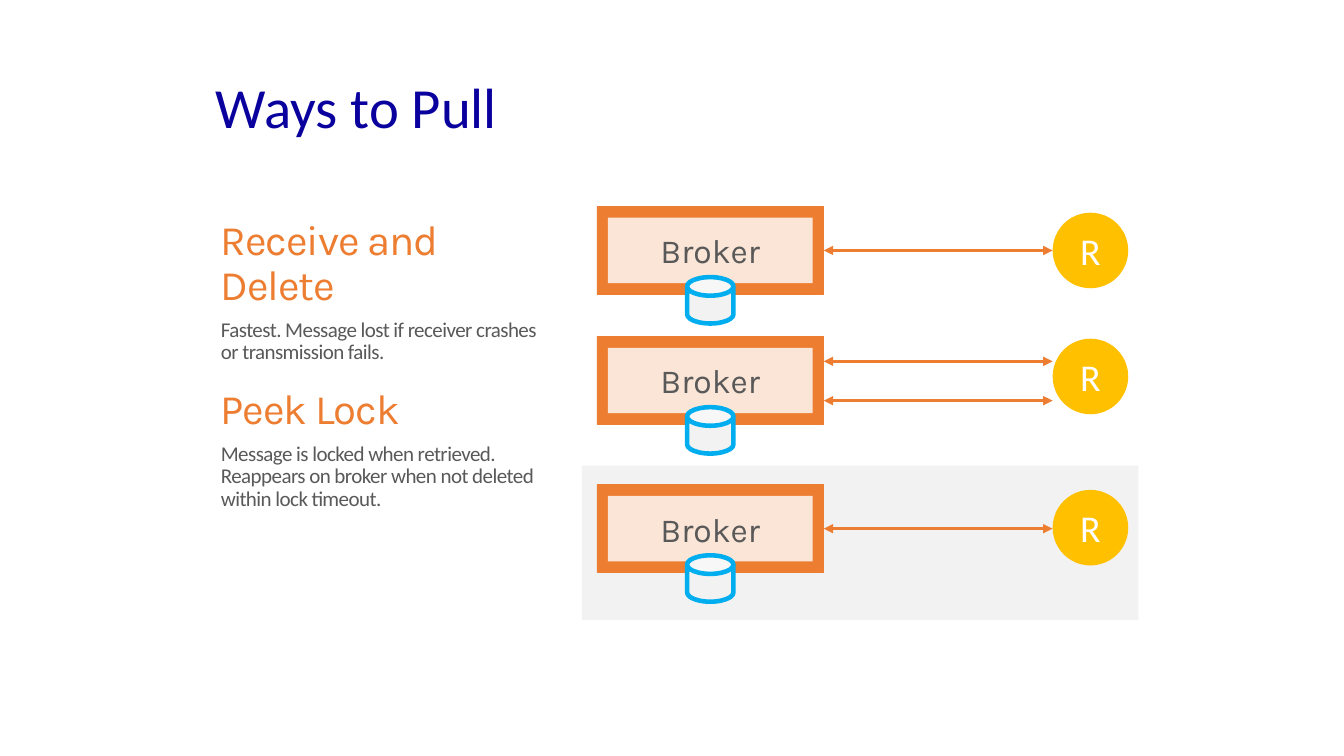
from dataclasses import dataclass

import lxml.etree
import pptx
import pptx.dml.color
import pptx.enum.shapes
import pptx.enum.text
import pptx.oxml.ns
import pptx.util

Inches = pptx.util.Inches
Pt = pptx.util.Pt
qn = pptx.oxml.ns.qn
Shape = pptx.enum.shapes.MSO_SHAPE
Align = pptx.enum.text.PP_ALIGN
Anchor = pptx.enum.text.MSO_ANCHOR


@dataclass(frozen=True)
class Theme:
    navy: str = "09009E"
    orange: str = "ED7D31"
    peach: str = "FBE5D6"
    gold: str = "FFC000"
    blue: str = "00AEEF"
    pale: str = "F2F2F2"
    grey: str = "595959"
    white: str = "FFFFFF"
    text_font: str = "Calibri"
    accent_font: str = "Karla"
    title_size: float = 40.5
    heading_size: float = 30
    detail_size: float = 15
    broker_size: float = 24
    receiver_size: float = 27


@dataclass(frozen=True)
class PullMode:
    heading: str
    detail: str
    gap_before: float


@dataclass(frozen=True)
class Exchange:
    broker_top: float
    receiver_top: float
    arrow_offsets: tuple[float, ...]


THEME = Theme()
BROKER_LEFT, BROKER_WIDTH, BROKER_HEIGHT, BROKER_BORDER = 5.92, 2.25, 0.87, 0.11
RECEIVER_LEFT, RECEIVER_SIZE = 10.44, 0.75
STORE_WIDTH, STORE_HEIGHT, STORE_DROP = 0.46, 0.46, 0.7

PULL_MODES = (
    PullMode("Receive and Delete",
             "Fastest. Message lost if receiver crashes or transmission fails.", 0),
    PullMode("Peek Lock",
             "Message is locked when retrieved. Reappears on broker when not "
             "deleted within lock timeout.", 17),
)
EXCHANGES = (
    Exchange(2.05, 2.11, (0,)),
    Exchange(3.34, 3.36, (-0.19, 0.2)),
    Exchange(4.81, 4.86, (0,)),
)


def rgb(color: str) -> pptx.dml.color.RGBColor:
    return pptx.dml.color.RGBColor.from_string(color)


def set_font(paragraph, name: str, size: float, color: str, tracking: float = 0) -> None:
    """Format a paragraph; tracking is in points."""
    paragraph.font.name = name
    paragraph.font.size = Pt(size)
    paragraph.font.color.rgb = rgb(color)
    if tracking:
        for run in paragraph.runs:
            run._r.get_or_add_rPr().set("spc", str(round(tracking * 100)))


def place(shape, left: float, top: float, width: float, height: float) -> None:
    shape.left, shape.top = Inches(left), Inches(top)
    shape.width, shape.height = Inches(width), Inches(height)


def add_filled(slide, kind, left: float, top: float, width: float, height: float,
               fill: str, line: str | None = None, line_width: float = 0.5):
    shape = slide.shapes.add_shape(
        kind, Inches(left), Inches(top), Inches(width), Inches(height))
    shape.shadow.inherit = False
    shape.fill.solid()
    shape.fill.fore_color.rgb = rgb(fill)
    if line:
        shape.line.color.rgb = rgb(line)
        shape.line.width = Pt(line_width)
    else:
        shape.line.fill.background()
    return shape


def add_label(shape, text: str, font: str, size: float, color: str,
              side_margin: float, end_margin: float) -> None:
    frame = shape.text_frame
    frame.margin_left = frame.margin_right = Inches(side_margin)
    frame.margin_top = frame.margin_bottom = Inches(end_margin)
    frame.vertical_anchor = Anchor.MIDDLE
    label = frame.paragraphs[0]
    label.text = text
    label.alignment = Align.CENTER
    set_font(label, font, size, color)


def add_double_arrow(slide, y: float) -> None:
    arrow = slide.shapes.add_connector(
        pptx.enum.shapes.MSO_CONNECTOR.STRAIGHT,
        Inches(BROKER_LEFT + BROKER_WIDTH), Inches(y), Inches(RECEIVER_LEFT), Inches(y))
    arrow.line.color.rgb = rgb(THEME.orange)
    arrow.line.width = Pt(2.25)
    for end in ("a:headEnd", "a:tailEnd"):
        lxml.etree.SubElement(arrow.line._ln, qn(end), type="triangle")
    lxml.etree.SubElement(arrow._element.spPr, qn("a:effectLst"))


def add_exchange(slide, exchange: Exchange) -> None:
    """Draw one broker with its store, its receiver and the arrows between."""
    top = exchange.broker_top
    receiver = add_filled(slide, Shape.OVAL, RECEIVER_LEFT, exchange.receiver_top,
                          RECEIVER_SIZE, RECEIVER_SIZE, THEME.gold)
    add_label(receiver, "R", THEME.text_font, THEME.receiver_size, THEME.white, 0.07, 0.08)
    for offset in exchange.arrow_offsets:
        add_double_arrow(slide, top + BROKER_HEIGHT / 2 + offset)
    add_filled(slide, Shape.RECTANGLE, BROKER_LEFT, top, BROKER_WIDTH, BROKER_HEIGHT,
               THEME.orange, THEME.orange)
    broker = add_filled(slide, Shape.RECTANGLE,
                        BROKER_LEFT + BROKER_BORDER, top + BROKER_BORDER,
                        BROKER_WIDTH - 2 * BROKER_BORDER,
                        BROKER_HEIGHT - 2 * BROKER_BORDER, THEME.peach)
    add_label(broker, "Broker", THEME.accent_font, THEME.broker_size, THEME.grey, 0, 0.04)
    store = add_filled(slide, Shape.CAN,
                       BROKER_LEFT + (BROKER_WIDTH - STORE_WIDTH) / 2, top + STORE_DROP,
                       STORE_WIDTH, STORE_HEIGHT, THEME.pale, THEME.blue, 3.25)
    store.adjustments[0] = 0.4


def fill_title(title) -> None:
    place(title, 2.04, 0.68, 9.15, 0.82)
    title.text_frame.vertical_anchor = Anchor.MIDDLE
    title.text_frame.auto_size = pptx.enum.text.MSO_AUTO_SIZE.NONE
    heading = title.text_frame.paragraphs[0]
    heading.text = "Ways to Pull"
    heading.alignment = Align.LEFT
    heading.line_spacing = 0.9
    set_font(heading, THEME.text_font, THEME.title_size, THEME.navy)


def add_plain_paragraph(frame, text: str, level: int, before: float, after: float):
    """Add a paragraph without bullet or indent, using the empty first one if free."""
    first = frame.paragraphs[0]
    paragraph = frame.add_paragraph() if first.text else first
    paragraph.text = text
    paragraph.level = level
    paragraph.line_spacing = 0.9
    paragraph.space_before = Pt(before)
    paragraph.space_after = Pt(after)
    properties = paragraph._p.get_or_add_pPr()
    properties.set("marL", "0")
    properties.set("indent", "0")
    lxml.etree.SubElement(properties, qn("a:buNone"))
    return paragraph


def fill_pull_modes(body) -> None:
    place(body, 2.09, 2.12, 3.56, 3.47)
    frame = body.text_frame
    frame.auto_size = pptx.enum.text.MSO_AUTO_SIZE.NONE
    frame.margin_right = Inches(0.2)
    for mode in PULL_MODES:
        heading = add_plain_paragraph(frame, mode.heading, 0, mode.gap_before, 6.8)
        set_font(heading, THEME.accent_font, THEME.heading_size, THEME.orange, -0.8)
        detail = add_plain_paragraph(frame, mode.detail, 1, 0, 0)
        set_font(detail, THEME.text_font, THEME.detail_size, THEME.grey, -0.4)


def main() -> None:
    deck = pptx.Presentation()
    deck.slide_width, deck.slide_height = Inches(13.33), Inches(7.5)
    slide = deck.slides.add_slide(deck.slide_layouts[1])
    fill_title(slide.shapes.title)
    fill_pull_modes(slide.placeholders[1])
    add_filled(slide, Shape.RECTANGLE, 5.77, 4.62, 5.52, 1.53, THEME.pale)
    for exchange in EXCHANGES:
        add_exchange(slide, exchange)
    deck.save("out.pptx")


if __name__ == "__main__":
    main()
